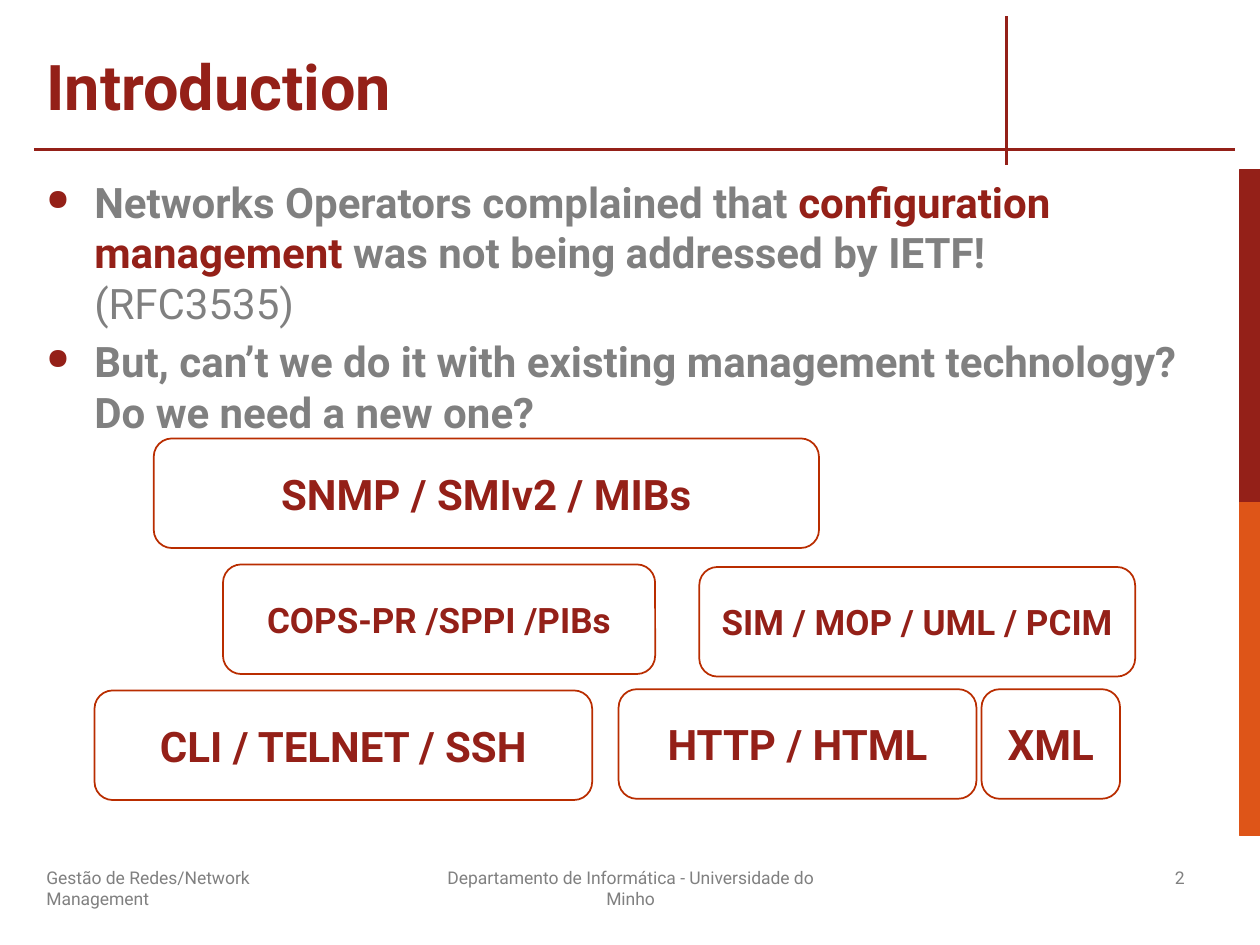
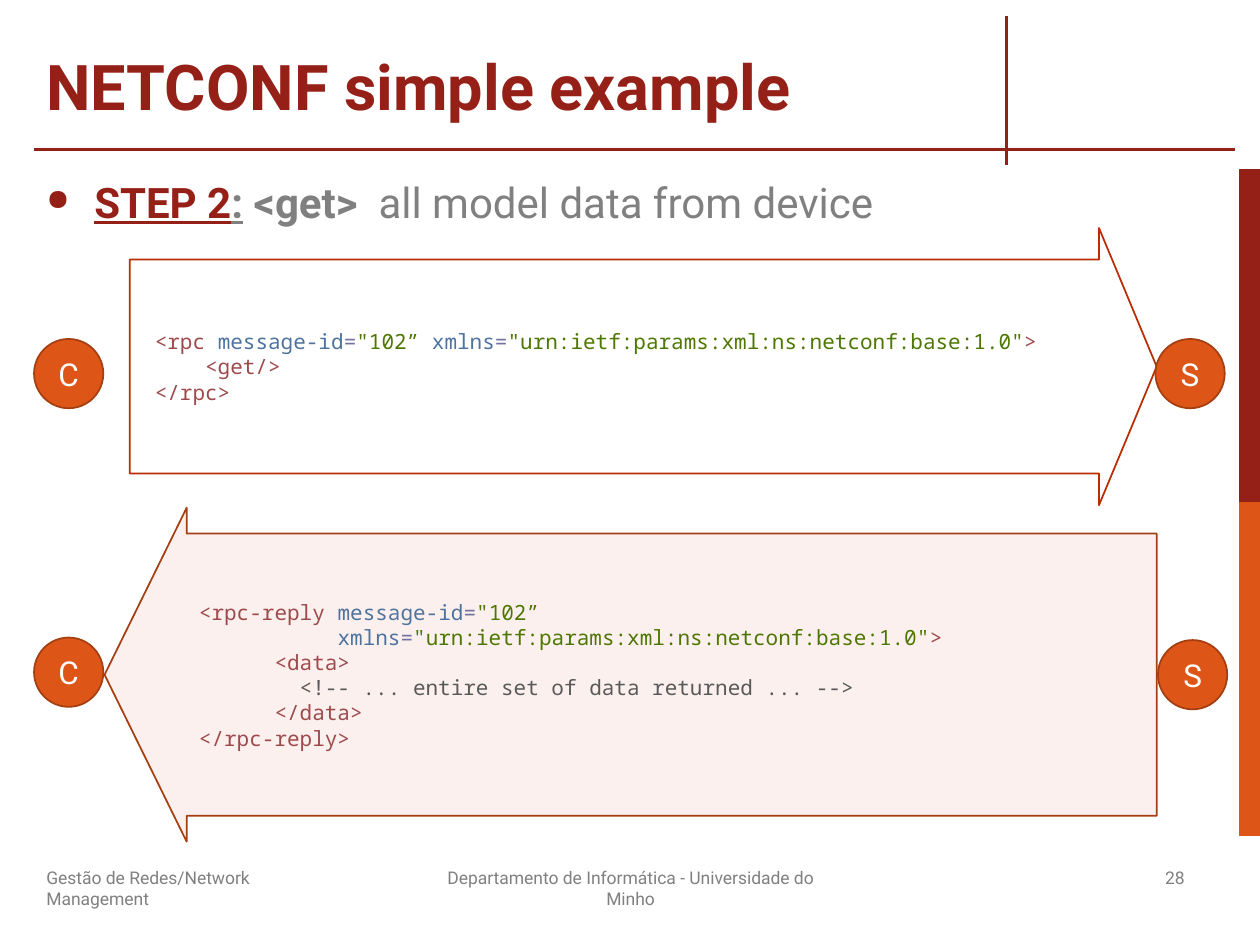
from dataclasses import dataclass

from lxml import etree
from pptx import Presentation
from pptx import util as u
from pptx.dml.color import RGBColor
from pptx.enum import shapes, text
from pptx.oxml.ns import qn

PX = 9144


@dataclass(frozen=True)
class Theme:
    font: str = "Roboto"
    mono: str = "Noto Sans Mono"
    red: str = "942018"
    orange: str = "DE5518"
    gray: str = "808080"
    white: str = "FFFFFF"
    blush: str = "FBF0EE"
    box_line: str = "B92D00"
    dark_line: str = "A43F12"
    tag: str = "9E4A4D"
    attribute: str = "4E739F"
    equals: str = "74729F"
    value: str = "4E7702"
    remark: str = "595959"
    title_size: int = 36
    body_size: int = 24
    label_size: int = 20
    party_size: int = 18
    code_size: int = 12
    footer_size: int = 10


THEME = Theme()
LEFT = text.PP_ALIGN.LEFT
CENTER = text.PP_ALIGN.CENTER
RIGHT = text.PP_ALIGN.RIGHT
TOP = text.MSO_ANCHOR.TOP
MIDDLE = text.MSO_ANCHOR.MIDDLE
BOTTOM = text.MSO_ANCHOR.BOTTOM
SHAPE = shapes.MSO_SHAPE


def rgb(color):
    return RGBColor.from_string(color)


class Deck:
    def __init__(self, theme):
        self.theme = theme
        self.presentation = Presentation()
        self.presentation.slide_width = u.Emu(1000 * PX)
        self.presentation.slide_height = u.Emu(750 * PX)
        self.slide = None

    def start_slide(self, title, number):
        theme = self.theme
        self.slide = self.presentation.slides.add_slide(self.presentation.slide_layouts[6])
        self.line((799, 13), (799, 131), 1.5)
        self.line((27, 119), (980, 119), 1.75)
        for row, color in enumerate((theme.red, theme.orange)):
            self.shape(SHAPE.RECTANGLE, (984, 135 + row * 264, 16, 264), color, color, 0.75)
        self.text_box((27, 13, 768, 90), title, theme.title_size, theme.red, bold=True, anchor=BOTTOM)
        footers = (
            ((27, 683, 233, 50), "Gestão de Redes/Network Management", LEFT),
            ((342, 683, 317, 50), "Departamento de Informática - Universidade do Minho", CENTER),
            ((717, 683, 233, 50), str(number), RIGHT),
        )
        for box, words, align in footers:
            self.text_box(box, words, theme.footer_size, theme.gray, align=align)

    def line(self, start, end, width):
        points = [u.Emu(value * PX) for value in start + end]
        connector = self.slide.shapes.add_connector(shapes.MSO_CONNECTOR.STRAIGHT, *points)
        connector.line.color.rgb = rgb(self.theme.red)
        connector.line.width = u.Pt(width)
        etree.SubElement(connector._element.spPr, qn("a:effectLst"))

    def shape(self, kind, box, fill, outline, width=1, adjustments=()):
        shape = self.slide.shapes.add_shape(kind, *(u.Emu(value * PX) for value in box))
        shape.shadow.inherit = False
        shape.fill.solid()
        shape.fill.fore_color.rgb = rgb(fill)
        shape.line.color.rgb = rgb(outline)
        shape.line.width = u.Pt(width)
        for index, value in enumerate(adjustments):
            shape.adjustments[index] = value
        return shape

    def frame(self, box, anchor=TOP):
        frame = self.slide.shapes.add_textbox(*(u.Emu(value * PX) for value in box)).text_frame
        frame.word_wrap = True
        frame.vertical_anchor = anchor
        return frame

    def run(self, paragraph, words, size, color, bold=False, underline=False, font=None):
        run = paragraph.add_run()
        run.text = words
        run.font.name = font or self.theme.font
        run.font.size = u.Pt(size)
        run.font.bold = bold
        run.font.underline = underline
        run.font.color.rgb = rgb(color)

    def text_box(self, box, words, size, color, bold=False, align=LEFT, anchor=TOP):
        paragraph = self.frame(box, anchor).paragraphs[0]
        paragraph.alignment = align
        self.run(paragraph, words, size, color, bold)

    def label(self, shape, words, size, color, bold=False):
        shape.text_frame.vertical_anchor = MIDDLE
        paragraph = shape.text_frame.paragraphs[0]
        paragraph.alignment = CENTER
        self.run(paragraph, words, size, color, bold)

    def bullets(self, items):
        frame = self.frame((27, 135, 923, 536))
        for index, runs in enumerate(items):
            paragraph = frame.add_paragraph() if index else frame.paragraphs[0]
            properties = paragraph._p.get_or_add_pPr()
            properties.set("marL", str(38 * PX))
            properties.set("indent", str(-38 * PX))
            bullet_color = etree.SubElement(properties, qn("a:buClr"))
            etree.SubElement(bullet_color, qn("a:srgbClr"), val=self.theme.red)
            etree.SubElement(properties, qn("a:buSzPct"), val="70000")
            etree.SubElement(properties, qn("a:buChar"), char="●")
            if index:
                paragraph.space_before = u.Pt(4.8)
            for words, color, bold, underline in runs:
                self.run(paragraph, words, self.theme.body_size, color, bold, underline)

    def technology(self, box, words, size):
        shape = self.shape(SHAPE.ROUNDED_RECTANGLE, box, self.theme.white, self.theme.box_line)
        self.label(shape, words, size, self.theme.red, bold=True)

    def party(self, left, top, letter):
        shape = self.shape(SHAPE.OVAL, (left, top, 55, 55), self.theme.orange, self.theme.dark_line)
        self.label(shape, letter, self.theme.party_size, self.theme.white)

    def message(self, kind, box, fill, outline, adjustments, lines):
        frame = self.shape(kind, box, fill, outline, adjustments=adjustments).text_frame
        frame.vertical_anchor = MIDDLE
        for index, runs in enumerate(lines):
            paragraph = frame.add_paragraph() if index else frame.paragraphs[0]
            paragraph.alignment = LEFT
            for words, color in runs:
                self.run(paragraph, words, self.theme.code_size, color, font=self.theme.mono)


def build_introduction(deck):
    theme = deck.theme
    deck.start_slide("Introduction", 2)
    deck.bullets([
        [
            ("Networks Operators complained that ", theme.gray, True, False),
            ("configuration management", theme.red, True, False),
            (" was not being addressed by IETF! ", theme.gray, True, False),
            ("(RFC3535)", theme.gray, False, False),
        ],
        [("But, can’t we do it with existing management technology? Do we need a new one?",
          theme.gray, True, False)],
    ])
    technologies = (
        (122, 348, 528, "SNMP / SMIv2 / MIBs", theme.body_size),
        (177, 448, 343, "COPS-PR /SPPI /PIBs", theme.label_size),
        (75, 548, 395, "CLI / TELNET / SSH", theme.body_size),
        (555, 450, 346, "SIM / MOP / UML / PCIM", theme.label_size),
        (491, 547, 284, "HTTP / HTML", theme.body_size),
        (779, 547, 110, "XML", theme.body_size),
    )
    for left, top, width, words, size in technologies:
        deck.technology((left, top, width, 87), words, size)


def build_netconf_example(deck):
    theme = deck.theme
    deck.start_slide("NETCONF simple example", 28)
    deck.bullets([[
        ("STEP 2", theme.red, True, True),
        (":", theme.gray, True, True),
        (" <get> ", theme.gray, True, False),
        (" all model data from device", theme.gray, False, False),
    ]])
    message_id = [("message-id", theme.attribute), ("=", theme.equals), ('"102” ', theme.value)]
    namespace = [
        ("xmlns", theme.attribute),
        ("=", theme.equals),
        ('"urn:ietf:params:xml:ns:netconf:base:1.0"', theme.value),
        (">", theme.tag),
    ]
    request = [
        [(" <rpc ", theme.tag), *message_id, *namespace],
        [("     <get/>", theme.tag)],
        [(" </rpc>", theme.tag)],
    ]
    reply = [
        [(" <rpc-reply ", theme.tag), *message_id],
        [("            ", theme.value), *namespace],
        [("       <data>", theme.tag)],
        [("         <!-- ... entire set of data returned ... -->", theme.remark)],
        [("       </data>", theme.tag)],
        [(" </rpc-reply>", theme.tag)],
    ]
    deck.message(SHAPE.LEFT_ARROW, (83, 403, 835, 265), theme.blush, theme.dark_line,
                 (0.845, 0.246), reply)
    deck.message(SHAPE.RIGHT_ARROW, (103, 181, 815, 220), theme.white, theme.box_line,
                 (0.772, 0.208), request)
    for left, top, letter in ((27, 269, "C"), (917, 269, "S"), (27, 506, "C"), (919, 508, "S")):
        deck.party(left, top, letter)


def main():
    deck = Deck(THEME)
    build_introduction(deck)
    build_netconf_example(deck)
    deck.presentation.save("out.pptx")


if __name__ == "__main__":
    main()
